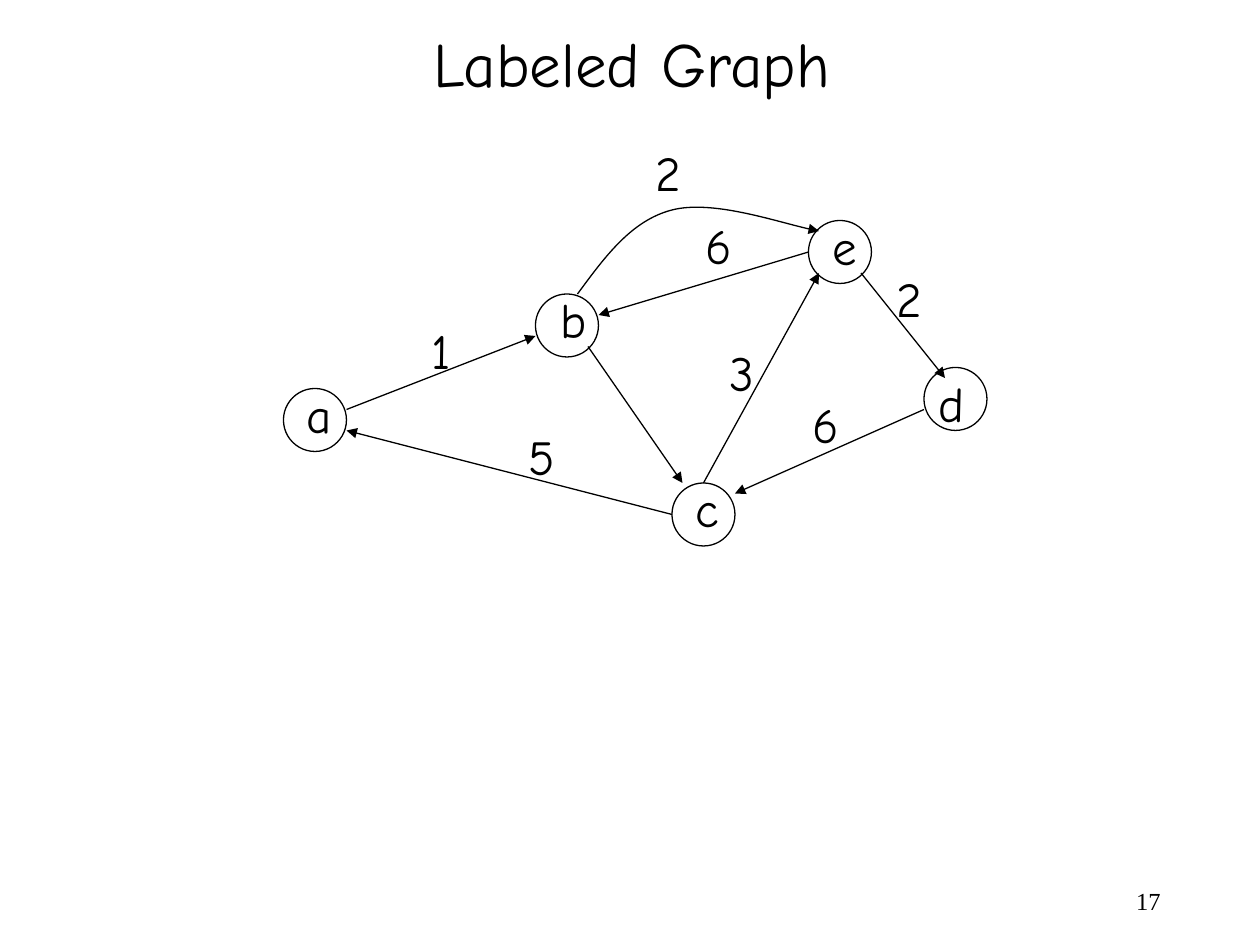
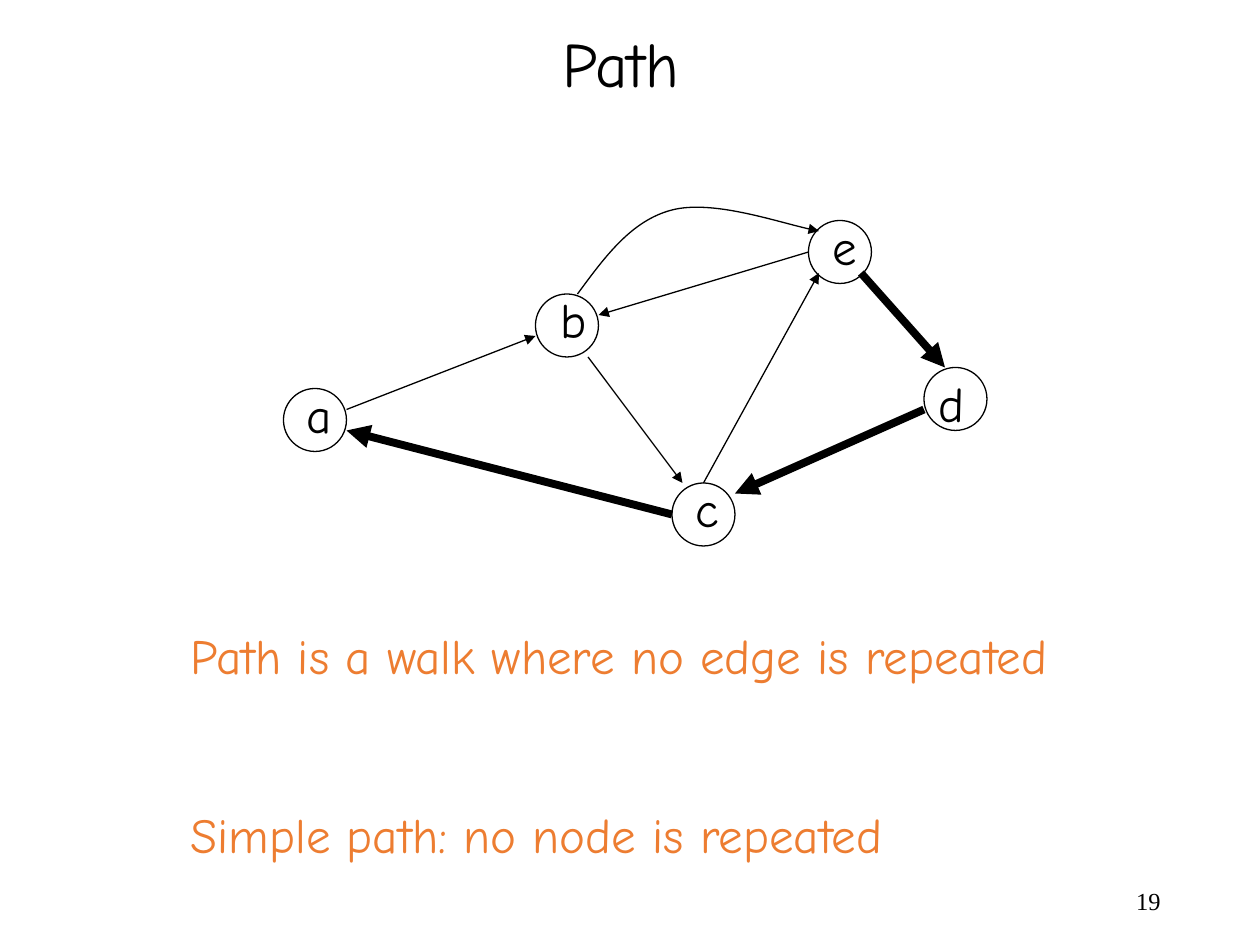
from dataclasses import dataclass

from lxml.etree import SubElement
from pptx import Presentation
from pptx.dml.color import RGBColor
from pptx.enum.shapes import MSO_CONNECTOR, MSO_SHAPE
from pptx.enum.text import MSO_ANCHOR, MSO_AUTO_SIZE, PP_ALIGN
from pptx.oxml.ns import qn
from pptx.util import Pt


@dataclass(frozen=True)
class Theme:
    ink: RGBColor = RGBColor(0, 0, 0)
    accent: RGBColor = RGBColor(0xED, 0x7D, 0x31)
    hand_font: str = "Comic Neue"
    number_font: str = "Times New Roman"
    title_size: float = 36
    body_size: float = 28
    number_size: float = 14
    thin: float = 0.75
    thick: float = 4.5


THEME = Theme()
GRAPH_BOX = (162, 114)
NODE_SIZE = 36
LABEL_HEIGHT = 41

NODES = {
    "c": ((222, 162), (6.4, -6, 27.4)),
    "b": ((144, 54), (7.2, -6, 29.5)),
    "d": ((366, 96), (1.2, 0, 28.8)),
    "a": ((0, 108), (6, -6, 28.8)),
    "e": ((300, 12), (6.7, -6, 28.1)),
}
EDGES = {
    "ab": ((36, 120), (144, 78)),
    "bc": ((174, 84), (228, 162)),
    "ce": ((240, 162), (306, 42)),
    "dc": ((366, 120), (258, 168)),
    "ca": ((222, 180), (36, 132)),
    "ed": ((330, 42), (378, 102)),
    "eb": ((300, 30), (180, 66)),
}
CURVED_EDGE = [(168, 54), (183.5, 33), (198.7, 12), (222, 6), (245, 0), (288.7, 15), (306, 18)]
WEIGHTS = [
    ("1", 77.4, 65.6, 25.2),
    ("3", 247.7, 78, 28.1),
    ("5", 132.8, 126, 29.5),
    ("6", 295.2, 108, 29.5),
    ("2", 343.4, 36, 28.8),
    ("6", 234, 5.5, 29.5),
    ("2", 205.6, -36, 28.8),
]
PATH_EDGE_ENDS = {"bc": ((174, 90), (228, 162)), "ed": ((330, 42), (378, 96))}


def add_text(shapes, box, *lines, size=THEME.body_size, font=THEME.hand_font, color=THEME.ink,
             align=PP_ALIGN.LEFT, anchor=MSO_ANCHOR.TOP, wrap=False, gap=0):
    frame = shapes.add_textbox(*map(Pt, box)).text_frame
    frame.word_wrap = wrap
    frame.auto_size = MSO_AUTO_SIZE.NONE if wrap else MSO_AUTO_SIZE.SHAPE_TO_FIT_TEXT
    frame.vertical_anchor = anchor
    for index, line in enumerate(lines):
        paragraph = frame.paragraphs[0] if index == 0 else frame.add_paragraph()
        paragraph.alignment = align
        if index:
            paragraph.space_before = Pt(gap)
        run = paragraph.add_run()
        run.text = line
        run.font.size = Pt(size)
        run.font.name = font
        run.font.color.rgb = color


def ink_line(shape, width=THEME.thin, arrow=False):
    shape.line.color.rgb = THEME.ink
    shape.line.width = Pt(width)
    if arrow:
        SubElement(shape.element.spPr.find(qn("a:ln")), qn("a:tailEnd"), type="triangle")


def add_node(shapes, left, top):
    node = shapes.add_shape(MSO_SHAPE.OVAL, *map(Pt, (left, top, NODE_SIZE, NODE_SIZE)))
    node.shadow.inherit = False
    node.fill.background()
    ink_line(node)


def add_edge(shapes, start, end, width):
    edge = shapes.add_connector(MSO_CONNECTOR.STRAIGHT, *map(Pt, (*start, *end)))
    ink_line(edge, width, arrow=True)
    SubElement(edge.element.spPr, qn("a:effectLst"))


def add_curved_edge(shapes, points):
    start, *rest = [tuple(map(Pt, point)) for point in points]
    builder = shapes.build_freeform(*start)
    builder.add_line_segments(rest, close=False)
    edge = builder.convert_to_shape()
    edge.shadow.inherit = False
    edge.fill.background()
    ink_line(edge, arrow=True)
    segments = list(edge.element.iter(qn("a:lnTo")))
    outline = segments[0].getparent()
    for first in range(0, len(segments), 3):
        bezier = SubElement(outline, qn("a:cubicBezTo"))
        for segment in segments[first:first + 3]:
            bezier.append(segment[0])
            outline.remove(segment)


def add_graph(shapes, origin, edges=EDGES, bold_edges=(), weights=()):
    def placed(point):
        return origin[0] + point[0], origin[1] + point[1]

    for corner, _ in NODES.values():
        add_node(shapes, *placed(corner))
    for name, (start, end) in edges.items():
        width = THEME.thick if name in bold_edges else THEME.thin
        add_edge(shapes, placed(start), placed(end), width)
    add_curved_edge(shapes, [placed(point) for point in CURVED_EDGE])
    for letter, (corner, (dx, dy, width)) in NODES.items():
        left, top = placed(corner)
        add_text(shapes, (left + dx, top + dy, width, LABEL_HEIGHT), letter)
    for weight, left, top, width in weights:
        add_text(shapes, (*placed((left, top)), width, LABEL_HEIGHT), weight)


def add_slide(deck, title, title_left, title_width, number):
    slide = deck.slides.add_slide(deck.slide_layouts[6])
    add_text(slide.shapes, (508.3, 500.4, 162, 28.8), number, size=THEME.number_size,
             font=THEME.number_font, align=PP_ALIGN.RIGHT, anchor=MSO_ANCHOR.MIDDLE, wrap=True)
    add_text(slide.shapes, (title_left, 10.4, title_width, 50.4), title, size=THEME.title_size)
    return slide


def add_labeled_graph_slide(deck):
    slide = add_slide(deck, "Labeled Graph", 240.5, 241.9, "17")
    add_graph(slide.shapes, GRAPH_BOX, weights=WEIGHTS)


def add_path_slide(deck):
    slide = add_slide(deck, "Path", 314.4, 82.8, "19")
    graph = slide.shapes.add_group_shape()
    add_graph(graph.shapes, GRAPH_BOX, edges=EDGES | PATH_EDGE_ENDS, bold_edges=("ed", "dc", "ca"))
    add_text(slide.shapes, (102, 354, 507, 143.3),
             "Path is a walk where no edge is repeated", "Simple path: no node is repeated",
             color=THEME.accent, gap=68.7)


def main():
    deck = Presentation()
    deck.slide_width, deck.slide_height = Pt(720), Pt(540)
    add_labeled_graph_slide(deck)
    add_path_slide(deck)
    deck.save("out.pptx")


if __name__ == "__main__":
    main()
